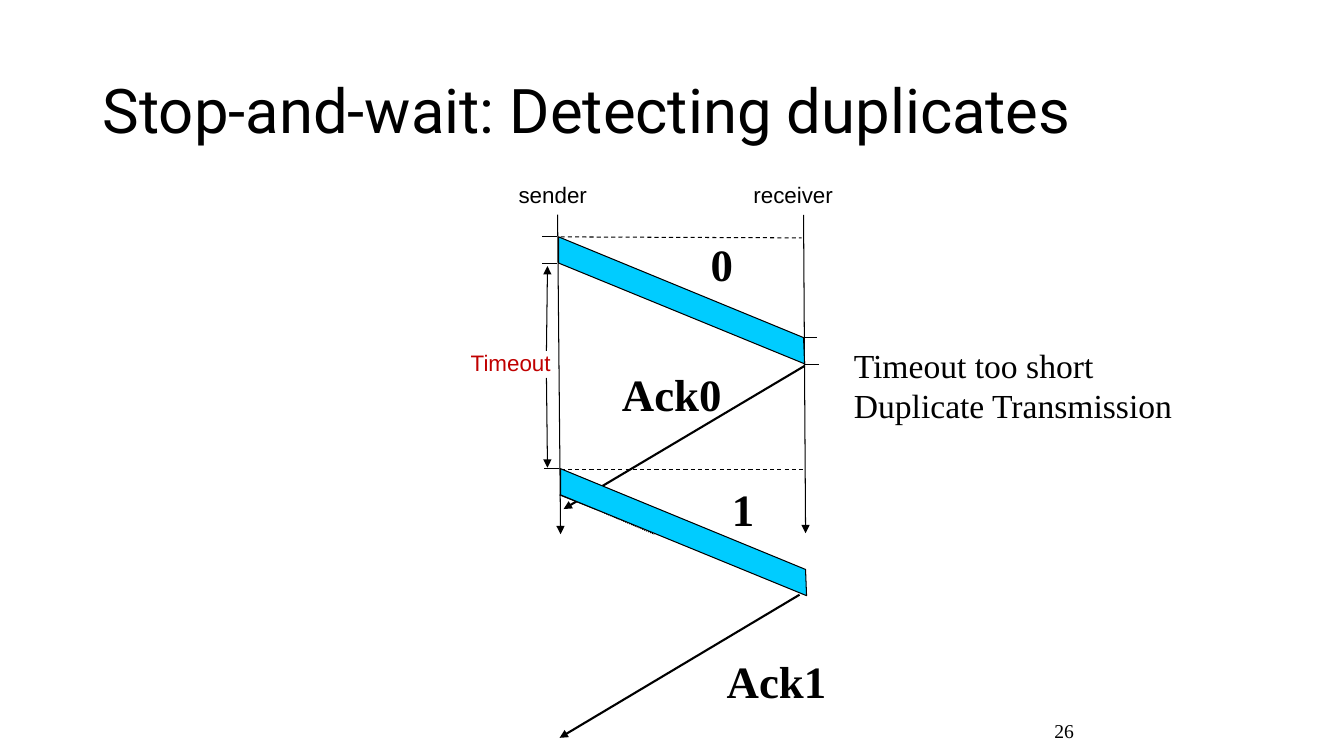
from dataclasses import dataclass

from lxml.etree import SubElement
from pptx import Presentation
from pptx.dml.color import RGBColor
from pptx.enum.dml import MSO_LINE
from pptx.enum.shapes import MSO_CONNECTOR, MSO_SHAPE
from pptx.enum.text import MSO_ANCHOR, MSO_AUTO_SIZE, PP_ALIGN
from pptx.oxml.ns import qn
from pptx.util import Pt

PX = 9144
PACKET_RUN, PACKET_DROP, PACKET_HEIGHT = 243, 100, 26


@dataclass(frozen=True)
class Theme:
    """Colours, fonts and sizes of the slide."""
    ink: RGBColor = RGBColor(0, 0, 0)
    paper: RGBColor = RGBColor(255, 255, 255)
    packet: RGBColor = RGBColor(0, 204, 255)
    alert: RGBColor = RGBColor(192, 0, 0)
    heading: str = "Roboto"
    label: str = "Arial"
    body: str = "Times New Roman"
    title_size: int = 44
    frame_size: int = 32
    note_size: int = 24
    label_size: int = 16
    number_size: int = 14
    thin: float = 0.75
    thick: float = 1.5


THEME = Theme()


def apply(target, values):
    """Set every attribute named in values on target."""
    for name, value in values.items():
        setattr(target, name, value)


def write(frame, lines, font, size, color=THEME.ink, bold=False,
          align=PP_ALIGN.LEFT, anchor=MSO_ANCHOR.TOP, wrap=True, spacing=1.0):
    """Fill a text frame with one paragraph per line."""
    grow = MSO_AUTO_SIZE.NONE if wrap else MSO_AUTO_SIZE.SHAPE_TO_FIT_TEXT
    apply(frame, {"word_wrap": wrap, "auto_size": grow, "vertical_anchor": anchor})
    for index, line in enumerate(lines):
        paragraph = frame.paragraphs[0] if index == 0 else frame.add_paragraph()
        apply(paragraph, {"alignment": align, "line_spacing": spacing})
        run = paragraph.add_run()
        run.text = line
        apply(run.font, {"name": font, "size": Pt(size), "bold": bold})
        run.font.color.rgb = color


def add_title(slide, text, box):
    """Place and format the title placeholder."""
    title = slide.shapes.title
    apply(title, dict(zip(("left", "top", "width", "height"), (v * PX for v in box))))
    write(title.text_frame, [text], THEME.heading, THEME.title_size,
          anchor=MSO_ANCHOR.MIDDLE, spacing=0.9)


def add_text(slide, lines, box, font, size, **options):
    """Add a text box."""
    textbox = slide.shapes.add_textbox(*(v * PX for v in box))
    write(textbox.text_frame, lines, font, size, **options)


def add_frame_name(slide, name, left, top, width):
    """Add the bold name of a data or acknowledgement frame."""
    add_text(slide, [name], (left, top, width, 64), THEME.body,
             THEME.frame_size, bold=True, wrap=False)


def add_party(slide, name, left, width):
    """Add the white header of one communicating party."""
    header = slide.shapes.add_shape(
        MSO_SHAPE.RECTANGLE, left * PX, 175 * PX, width * PX, 38 * PX)
    header.shadow.inherit = False
    header.fill.solid()
    header.fill.fore_color.rgb = THEME.paper
    header.line.fill.background()
    write(header.text_frame, [name], THEME.label, THEME.label_size,
          align=PP_ALIGN.RIGHT)


def add_line(slide, start, end, weight=THEME.thin, dash=None, arrow=False):
    """Add a straight line, with an arrowhead at its end if asked."""
    line = slide.shapes.add_connector(
        MSO_CONNECTOR.STRAIGHT, *(v * PX for v in (*start, *end)))
    line.line.color.rgb = THEME.ink
    apply(line.line, {"width": Pt(weight), "dash_style": dash})
    properties = line._element.spPr
    if arrow:
        SubElement(properties.find(qn("a:ln")), qn("a:tailEnd"), type="triangle")
    SubElement(properties, qn("a:effectLst"))


def add_packet(slide, left, top):
    """Add the slanted band of a data frame in transit."""
    right, arrival = left + PACKET_RUN, top + PACKET_DROP
    builder = slide.shapes.build_freeform(left, top, PX)
    builder.add_line_segments(
        [(right, arrival), (right + 1, arrival + PACKET_HEIGHT),
         (left, top + PACKET_HEIGHT)])
    band = builder.convert_to_shape()
    band.shadow.inherit = False
    band.fill.solid()
    band.fill.fore_color.rgb = THEME.packet
    band.line.color.rgb = THEME.ink
    band.line.width = Pt(THEME.thin)


def main():
    """Build and save the slide."""
    deck = Presentation()
    apply(deck, {"slide_width": 1333 * PX, "slide_height": 750 * PX})
    slide = deck.slides.add_slide(deck.slide_layouts[5])

    add_text(slide, ["26"], (758, 700, 317, 50), THEME.body, THEME.number_size,
             align=PP_ALIGN.RIGHT, anchor=MSO_ANCHOR.MIDDLE)
    add_title(slide, "Stop-and-wait: Detecting duplicates", (92, 40, 1150, 145))

    add_line(slide, (553, 212), (556, 530), arrow=True)
    add_line(slide, (797, 213), (799, 529), arrow=True)
    add_party(slide, "sender", 495, 97)
    add_party(slide, "receiver", 733, 103)
    add_line(slide, (556, 235), (795, 236), dash=MSO_LINE.DASH)
    add_line(slide, (556, 466), (796, 466), dash=MSO_LINE.DASH)
    add_line(slide, (798, 363), (559, 505), THEME.thick, arrow=True)
    add_packet(slide, 554, 235)

    for right, level in ((552, 235), (552, 261), (554, 465)):
        add_line(slide, (right, level), (right - 14, level))
    for left, level in ((796, 335), (798, 362)):
        add_line(slide, (left, level), (left + 14, level))

    add_text(slide, ["Timeout"], (432, 341, 124, 37), THEME.label,
             THEME.label_size, color=THEME.alert, align=PP_ALIGN.RIGHT)
    add_line(slide, (542, 375), (543, 464), arrow=True)
    add_line(slide, (542, 348), (543, 264), arrow=True)

    for start, middle, end in (((555, 465), (635, 498), (695, 523)),
                               ((555, 491), (590, 505), (649, 530))):
        add_line(slide, start, middle)
        add_line(slide, middle, end, dash=MSO_LINE.ROUND_DOT)

    add_text(slide, ["Timeout too short", "Duplicate Transmission"],
             (837, 337, 339, 91), THEME.body, THEME.note_size, wrap=False)
    add_packet(slide, 556, 465)
    add_line(slide, (793, 590), (555, 732), THEME.thick, arrow=True)

    for name, left, top, width in (("1", 716, 473, 43), ("0", 695, 230, 43),
                                   ("Ack1", 711, 644, 120), ("Ack0", 607, 359, 120)):
        add_frame_name(slide, name, left, top, width)

    deck.save("out.pptx")


if __name__ == "__main__":
    main()
